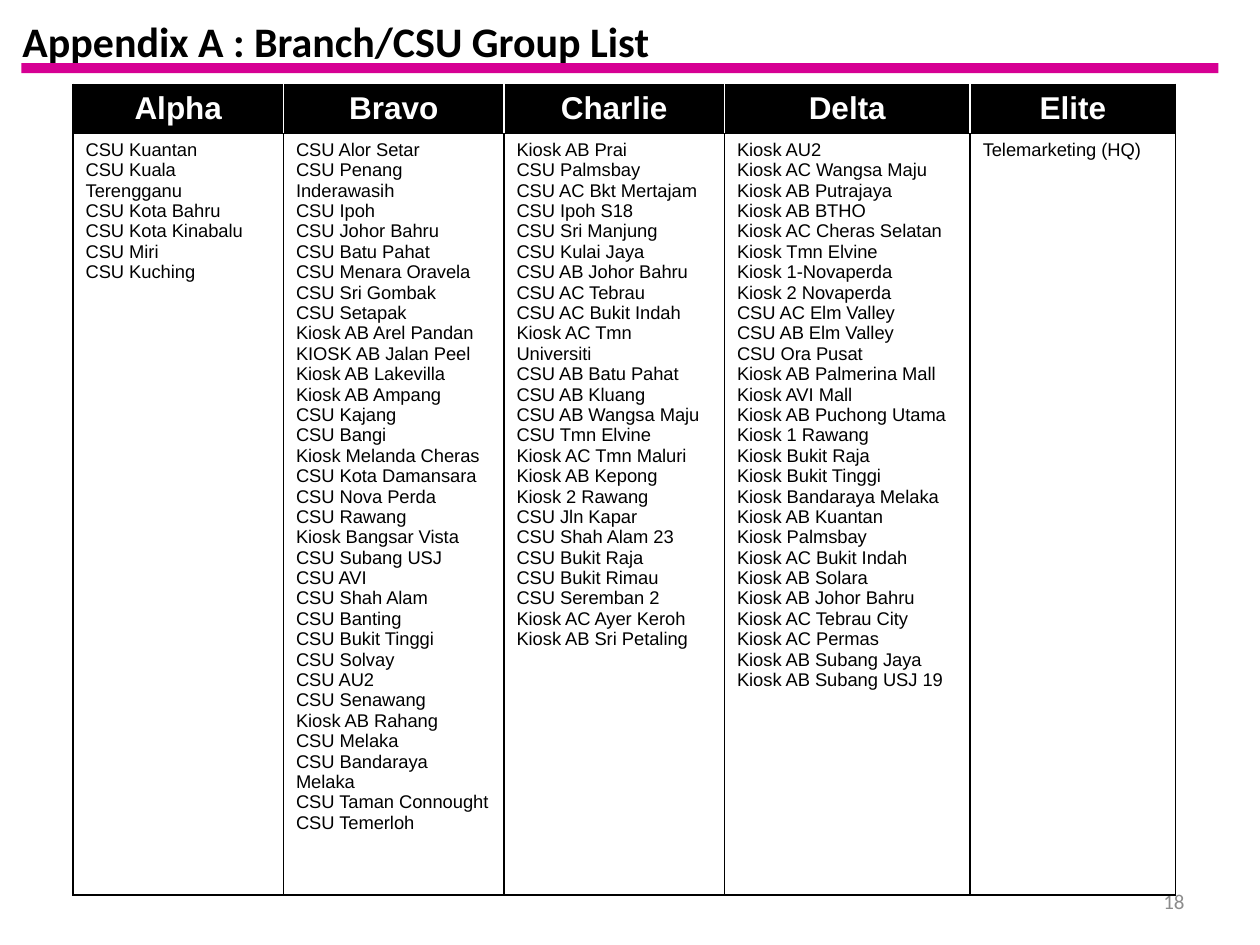
from dataclasses import dataclass

import pptx
import pptx.dml.color
import pptx.enum.shapes
import pptx.enum.text
import pptx.oxml
import pptx.oxml.ns
import pptx.util
from pptx.util import Inches

COLORS = {"black": "000000", "white": "FFFFFF", "magenta": "D60093", "gray": "8C8C8C"}
ALIGN = pptx.enum.text.PP_ALIGN
ANCHOR = pptx.enum.text.MSO_ANCHOR


@dataclass
class Label:
    text: str
    box: tuple[float, float, float, float]
    size: float
    color: str
    bold: bool
    align: ALIGN


@dataclass
class Group:
    name: str
    width: float
    branches: list[str]


LABELS = [
    Label("Appendix A : Branch/CSU Group List", (0.08, 0, 6.33, 0.65), 24, "black", True, ALIGN.LEFT),
    Label("18", (7.17, 6.95, 2.33, 0.4), 12, "gray", False, ALIGN.RIGHT),
]

GROUPS = [
    Group("Alpha", 1.67, [
        "CSU Kuantan", "CSU Kuala Terengganu", "CSU Kota Bahru", "CSU Kota Kinabalu",
        "CSU Miri", "CSU Kuching",
    ]),
    Group("Bravo", 1.75, [
        "CSU Alor Setar", "CSU Penang Inderawasih", "CSU Ipoh", "CSU Johor Bahru",
        "CSU Batu Pahat", "CSU Menara Oravela", "CSU Sri Gombak", "CSU Setapak",
        "Kiosk AB Arel Pandan", "KIOSK AB Jalan Peel", "Kiosk AB Lakevilla",
        "Kiosk AB Ampang", "CSU Kajang", "CSU Bangi", "Kiosk Melanda Cheras",
        "CSU Kota Damansara", "CSU Nova Perda", "CSU Rawang", "Kiosk Bangsar Vista",
        "CSU Subang USJ", "CSU AVI", "CSU Shah Alam", "CSU Banting", "CSU Bukit Tinggi",
        "CSU Solvay", "CSU AU2", "CSU Senawang", "Kiosk AB Rahang", "CSU Melaka",
        "CSU Bandaraya Melaka", "CSU Taman Connought", "CSU Temerloh",
    ]),
    Group("Charlie", 1.75, [
        "Kiosk AB Prai", "CSU Palmsbay", "CSU AC Bkt Mertajam", "CSU Ipoh S18",
        "CSU Sri Manjung", "CSU Kulai Jaya", "CSU AB Johor Bahru", "CSU AC Tebrau",
        "CSU AC Bukit Indah", "Kiosk AC Tmn Universiti", "CSU AB Batu Pahat",
        "CSU AB Kluang", "CSU AB Wangsa Maju", "CSU Tmn Elvine", "Kiosk AC Tmn Maluri",
        "Kiosk AB Kepong", "Kiosk 2 Rawang", "CSU Jln Kapar", "CSU Shah Alam 23",
        "CSU Bukit Raja", "CSU Bukit Rimau", "CSU Seremban 2", "Kiosk AC Ayer Keroh",
        "Kiosk AB Sri Petaling",
    ]),
    Group("Delta", 1.95, [
        "Kiosk AU2", "Kiosk AC Wangsa Maju", "Kiosk AB Putrajaya", "Kiosk AB BTHO",
        "Kiosk AC Cheras Selatan", "Kiosk Tmn Elvine", "Kiosk 1-Novaperda",
        "Kiosk 2 Novaperda", "CSU AC Elm Valley", "CSU AB Elm Valley", "CSU Ora Pusat",
        "Kiosk AB Palmerina Mall", "Kiosk AVI Mall", "Kiosk AB Puchong Utama",
        "Kiosk 1 Rawang", "Kiosk Bukit Raja", "Kiosk Bukit Tinggi",
        "Kiosk Bandaraya Melaka", "Kiosk AB Kuantan", "Kiosk Palmsbay",
        "Kiosk AC Bukit Indah", "Kiosk AB Solara", "Kiosk AB Johor Bahru",
        "Kiosk AC Tebrau City", "Kiosk AC Permas", "Kiosk AB Subang Jaya",
        "Kiosk AB Subang USJ 19",
    ]),
    Group("Elite", 1.63, ["Telemarketing (HQ)"]),
]


def rgb(color: str) -> pptx.dml.color.RGBColor:
    return pptx.dml.color.RGBColor.from_string(COLORS[color])


def write_lines(tf, lines: list[str], color: str, align: ALIGN, font: dict) -> None:
    for i, line in enumerate(lines):
        p = tf.paragraphs[0] if i == 0 else tf.add_paragraph()
        p.alignment = align
        r = p.add_run()
        r.text = line
        for name, value in font.items():
            setattr(r.font, name, value)
        r.font.color.rgb = rgb(color)


def add_label(s, label: Label) -> None:
    sp = s.shapes.add_textbox(*map(Inches, label.box))
    tf = sp.text_frame
    tf.word_wrap = True
    tf.vertical_anchor = ANCHOR.MIDDLE
    font = {"name": "Calibri", "size": pptx.util.Pt(label.size), "bold": label.bold}
    write_lines(tf, [label.text], label.color, label.align, font)


def set_borders(cell, sides: dict[str, str]) -> None:
    tcPr = cell._tc.get_or_add_tcPr()
    for i, (side, color) in enumerate(sides.items()):
        tcPr.insert(i, pptx.oxml.parse_xml(
            f'<a:ln{side} {pptx.oxml.ns.nsdecls("a")} w="12700"><a:solidFill>'
            f'<a:srgbClr val="{COLORS[color]}"/></a:solidFill></a:ln{side}>'
        ))


def add_group_table(s, groups: list[Group]) -> None:
    width = sum(g.width for g in groups)
    heights = (0.39, 5.98)
    table = s.shapes.add_table(
        2, len(groups), Inches(0.58), Inches(0.67), Inches(width), Inches(sum(heights))
    ).table
    for row, height in zip(table.rows, heights):
        row.height = Inches(height)
    head_font = {"name": "Arial", "size": pptx.util.Pt(18), "bold": True}
    body_font = {"name": "Arial", "size": pptx.util.Pt(10.5), "bold": False}
    for col, group in enumerate(groups):
        table.columns[col].width = Inches(group.width)
        head, body = table.cell(0, col), table.cell(1, col)
        head.margin_top = head.margin_bottom = Inches(0.04)
        head.vertical_anchor = ANCHOR.MIDDLE
        write_lines(head.text_frame, [group.name], "white", ALIGN.CENTER, head_font)
        write_lines(body.text_frame, group.branches, "black", ALIGN.LEFT, body_font)
        left = "black" if col == 0 else "white"
        right = "black" if col == len(groups) - 1 else "white"
        for cell, fill, sides in (
            (head, "black", {"L": left, "R": right, "T": "black", "B": "black"}),
            (body, "white", dict.fromkeys("LRTB", "black")),
        ):
            cell.fill.solid()
            cell.fill.fore_color.rgb = rgb(fill)
            set_borders(cell, sides)


def main() -> None:
    prs = pptx.Presentation()
    prs.slide_width, prs.slide_height = Inches(10), Inches(7.5)
    s = prs.slides.add_slide(prs.slide_layouts[6])
    title, page_number = LABELS
    add_label(s, title)
    rule = s.shapes.add_shape(
        pptx.enum.shapes.MSO_SHAPE.RECTANGLE, *map(Inches, (0.17, 0.5, 9.5, 0.08))
    )
    rule.shadow.inherit = False
    rule.fill.solid()
    rule.fill.fore_color.rgb = rgb("magenta")
    rule.line.fill.background()
    add_label(s, page_number)
    add_group_table(s, GROUPS)
    prs.save("out.pptx")


if __name__ == "__main__":
    main()
